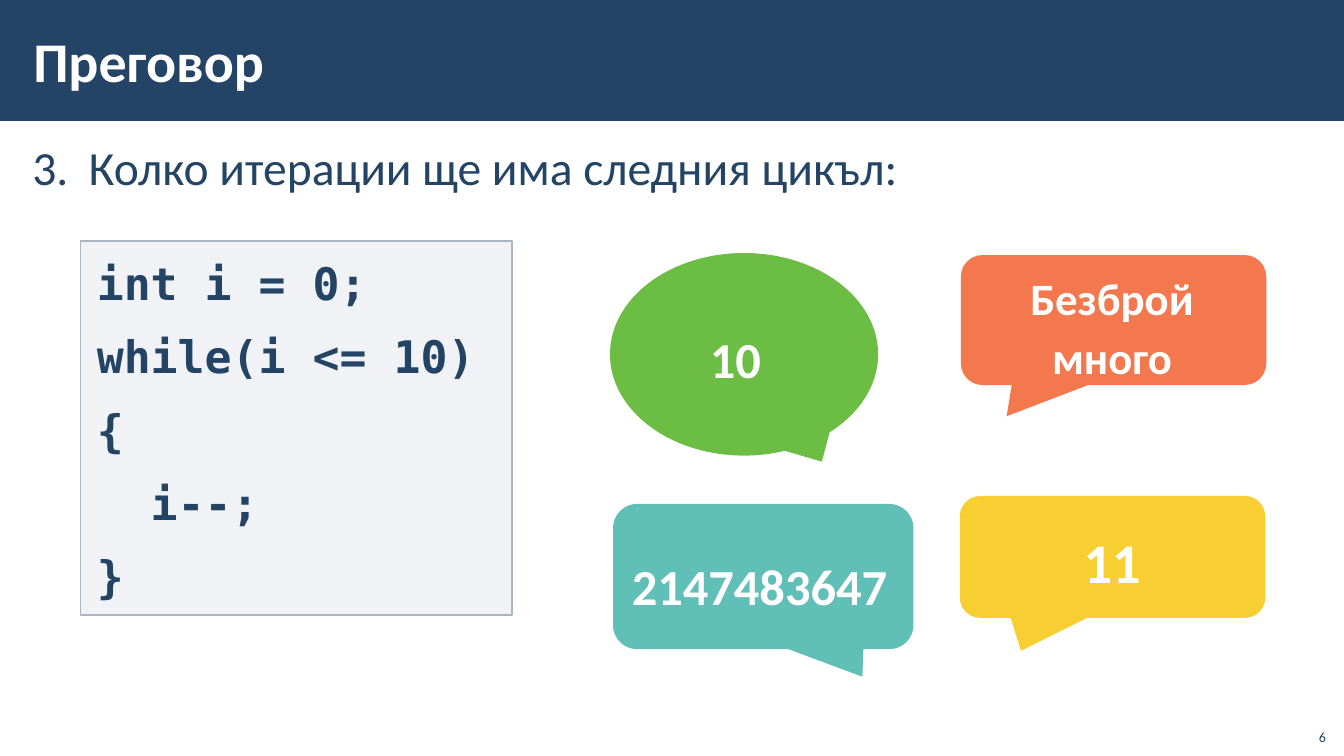
import pptx
import pptx.util
import pptx.dml.color
import pptx.enum.shapes
import pptx.enum.text
import pptx.oxml
import pptx.oxml.ns
import lxml.etree

PX = 9144  # EMU per px, 100 px to the inch
RGBColor = pptx.dml.color.RGBColor
NAVY = RGBColor(0x23, 0x44, 0x65)
WHITE = RGBColor(0xFF, 0xFF, 0xFF)
GREEN = RGBColor(0x6C, 0xBD, 0x44)
YELLOW = RGBColor(0xF5, 0xC3, 0x00)
ORANGE = RGBColor(0xF1, 0x57, 0x21)
TEAL = RGBColor(0x60, 0xBF, 0xB7)
GREY = RGBColor(0xA3, 0xAB, 0xBC)
GREY_LINE = RGBColor(0xAD, 0xB4, 0xC3)
SHAPE = pptx.enum.shapes.MSO_SHAPE
ALIGN = pptx.enum.text.PP_ALIGN
ANCHOR = pptx.enum.text.MSO_ANCHOR


def paint(shape, color, opacity=100):
    shape.fill.solid()
    shape.fill.fore_color.rgb = color
    if opacity < 100:
        tint = shape.fill._xPr.find(".//" + pptx.oxml.ns.qn("a:srgbClr"))
        alpha = lxml.etree.SubElement(tint, pptx.oxml.ns.qn("a:alpha"))
        alpha.set("val", str(opacity * 1000))


def write(box, place, text, size, color, bold=True, font="Calibri", align=ALIGN.LEFT,
          anchor=ANCHOR.TOP, margins=(12, 4), spacing=1.0, gap=0):
    box.left, box.top, box.width, box.height = [v * PX for v in place]
    frame = box.text_frame
    frame.text = text
    frame.word_wrap = True
    frame.auto_size = pptx.enum.text.MSO_AUTO_SIZE.NONE
    frame.vertical_anchor = anchor
    frame.margin_left = frame.margin_right = margins[0] * PX
    frame.margin_top = frame.margin_bottom = margins[1] * PX
    for para in frame.paragraphs:
        para.alignment = align
        para.line_spacing = spacing
        para.space_before = para.space_after = pptx.util.Pt(gap)
        for span in para.runs:
            span.font.name = font
            span.font.size = pptx.util.Pt(size)
            span.font.bold = bold
            span.font.color.rgb = color


deck = pptx.Presentation()
deck.slide_width, deck.slide_height = 1333 * PX, 750 * PX
page = deck.slides.add_slide(deck.slide_layouts.get_by_name("Two Content"))
title, question, code = page.placeholders

# Title banner, behind everything else
banner = page.shapes.add_shape(SHAPE.RECTANGLE, 0, 0, 1333 * PX, 120 * PX)
banner.shadow.inherit = False
paint(banner, NAVY)
banner.line.fill.background()
title.element.addprevious(banner.element)

write(title, (21, 11, 1063, 97), "Преговор", 40, WHITE, anchor=ANCHOR.MIDDLE)

# Numbered question
write(question, (20, 130, 1291, 567), "Колко итерации ще има следния цикъл:",
      34, NAVY, bold=False, spacing=1.05, gap=6)
properties = question.text_frame.paragraphs[0]._p.get_or_add_pPr()
properties.set("marL", str(56 * PX))
properties.set("indent", str(-56 * PX))
number = lxml.etree.SubElement(properties, pptx.oxml.ns.qn("a:buAutoNum"))
number.set("type", "arabicPeriod")
number.set("startAt", "3")

# Code box
write(code, (80, 239, 428, 371), "int i = 0;\nwhile(i <= 10)\n{\n  i--;\n}", 32, NAVY,
      font="DejaVu Sans Mono", margins=(16, 12), spacing=1.05, gap=6)
paint(code, GREY, 15)
code.line.color.rgb = GREY_LINE
code.line.width = pptx.util.Pt(1)
for para in code.text_frame.paragraphs:
    properties = para._p.get_or_add_pPr()
    properties.set("marL", "0")
    properties.set("indent", "0")
    lxml.etree.SubElement(properties, pptx.oxml.ns.qn("a:buNone"))

# Answers: callout kind, place, pointer tip, colour, opacity, text, text place, size, spacing
OVAL, ROUNDED = SHAPE.OVAL_CALLOUT, SHAPE.ROUNDED_RECTANGULAR_CALLOUT
answers = [
    (OVAL, (605, 251, 266, 201), (0.29, 0.53), GREEN, 100,
     "10", (591, 314, 277, 84), 36, 1.0),
    (ROUNDED, (952, 492, 303, 121), (-0.3, 0.77), YELLOW, 80,
     "11", (953, 505, 300, 94), 40, 1.1),
    (ROUNDED, (953, 253, 303, 129), (-0.35, 0.74), ORANGE, 80,
     "Безброй много", (949, 251, 308, 139), 32, 1.1),
    (ROUNDED, (608, 500, 298, 144), (0.33, 0.69), TEAL, 100,
     "2147483647", (602, 533, 303, 87), 36, 1.1),
]
for kind, place, tip, color, opacity, text, text_place, size, spacing in answers:
    group = page.shapes.add_group_shape()
    callout = group.shapes.add_shape(kind, *[v * PX for v in place])
    callout.adjustments[0], callout.adjustments[1] = tip
    callout.shadow.inherit = False
    paint(callout, color, opacity)
    callout.line.fill.background()
    label = group.shapes.add_textbox(*[v * PX for v in text_place])
    write(label, text_place, text, size, WHITE, align=ALIGN.CENTER,
          margins=(16, 12), spacing=spacing)

# Page number
page_number = page.shapes.add_textbox(0, 0, PX, PX)
write(page_number, (1285, 712, 40, 32), "6", 10, NAVY, bold=False,
      align=ALIGN.RIGHT, anchor=ANCHOR.BOTTOM, margins=(10, 5))

deck.save("out.pptx")
